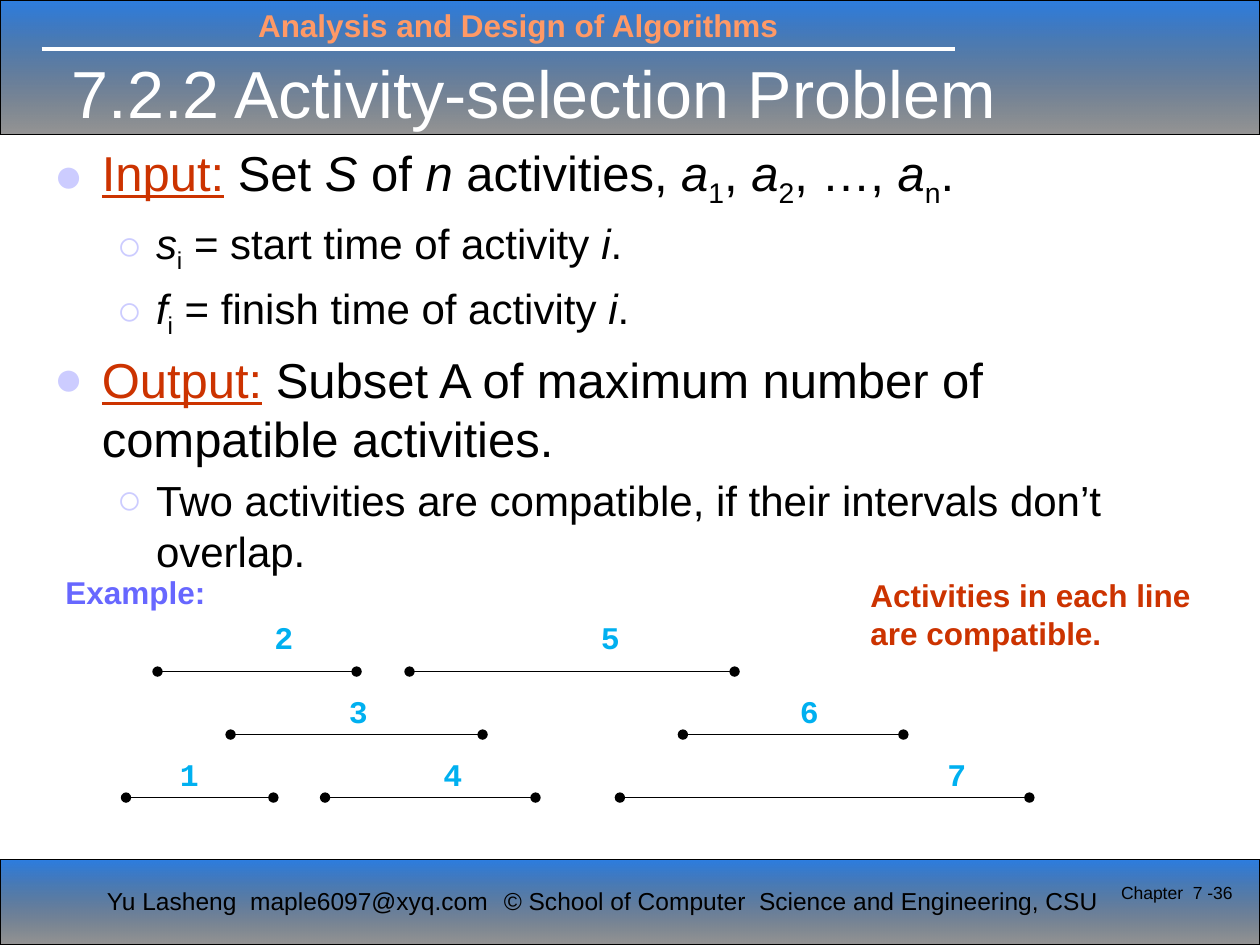
"""Build the activity-selection slide with its interval chart."""
from lxml.etree import SubElement as Sub
from pptx import Presentation
from pptx.dml.color import RGBColor as Rgb
from pptx.enum.shapes import MSO_CONNECTOR as Link, MSO_SHAPE as Form
from pptx.enum.text import MSO_ANCHOR as Anchor, PP_ALIGN as Align
from pptx.oxml.ns import qn
from pptx.util import Inches, Pt

THEME = {
    "sans": "Arial", "mono": "Courier New",
    "black": "000000", "white": "FFFFFF", "blue": "0E6BDC", "peach": "FF9966",
    "red": "CC3300", "lilac": "CCCCFF", "violet": "6767FF", "cyan": "00B0F0",
    "title": 38, "body": (28, 24), "label": 18, "foot": 14, "page": 10,
}
BANDS = [(0, 1.07), (6.82, 0.68)]
FADE = [("blue", 0, 88), ("black", 100, 41)]
BODY = [
    (0, [("Input:", "key"), (" Set ", ""), ("S", "it"), (" of ", ""), ("n ", "it"),
         ("activities, ", ""), ("a", "it"), ("1", "sub"), (", ", ""), ("a", "it"),
         ("2", "sub"), (", …, ", ""), ("a", "it"), ("n", "sub"), (".", "")]),
    (1, [("s", "it"), ("i", "sub"), (" = start time of activity ", ""),
         ("i", "it"), (".", "")]),
    (1, [("f", "it"), ("i", "sub"), (" = finish time of activity ", ""),
         ("i", "it"), (".", "")]),
    (0, [("Output:", "key"),
         (" Subset A of maximum number of compatible activities.", "")]),
    (1, [("Two activities are compatible, if their intervals don’t overlap.", "")]),
]
LEVELS = [("●", 0.38, -0.38, 5.6), ("○", 0.81, -0.31, 4.5)]
TEXTS = [
    ("Analysis and Design of Algorithms", (1.95, 0, 5, 0.4), "label", "peach", True),
    ("Yu Lasheng  maple6097@xyq.com", (0.75, 6.98, 3.4, 0.34), "foot", "black", False),
    ("© School of Computer  Science and Engineering, CSU",
     (3.9, 6.98, 5.12, 0.34), "foot", "black", False),
    ("Example:", (0.42, 4.5, 1.32, 0.4), "label", "violet", True),
    ("Activities in each line\nare compatible.",
     (6.81, 4.52, 2.77, 0.71), "label", "red", True),
]
ROWS = [
    (5.33, 4.86, [("2", 1.25, 2.83, 2.08), ("5", 3.25, 5.83, 4.67)]),
    (5.83, 5.44, [("3", 1.83, 3.83, 2.67), ("6", 5.42, 7.17, 6.25)]),
    (6.33, 5.94, [("1", 1, 2.17, 1.33), ("4", 2.58, 4.25, 3.42),
                  ("7", 4.92, 8.17, 7.42)]),
]


def tint(name):
    return Rgb.from_string(THEME[name])


def style(run, size, color, bold=False, face="sans"):
    font = run.font
    font.name, font.size, font.bold = THEME[face], Pt(size), bold
    font.color.rgb = tint(color)


def frame(slide, box):
    text = slide.shapes.add_textbox(*map(Inches, box)).text_frame
    text.word_wrap = True
    return text


def write(slide, words, box, size, color, bold=False, face="sans"):
    text = frame(slide, box)
    text.text = words
    for para in text.paragraphs:
        for run in para.runs:
            style(run, THEME[size], color, bold, face)
    return text


def band(slide, top, high):
    bar = slide.shapes.add_shape(Form.RECTANGLE, 0, Inches(top), Inches(10), Inches(high))
    bar.shadow.inherit = False
    bar.line.color.rgb, bar.line.width = tint("black"), Pt(0.75)
    bar.fill.gradient()
    bar.fill.gradient_angle = 270
    marks = bar._element.spPr.iter(qn("a:gs"))
    for stop, mark, (color, place, alpha) in zip(bar.fill.gradient_stops, marks, FADE):
        stop.color.rgb = tint(color)
        stop.position = place / 100
        Sub(mark[0], qn("a:alpha"), val=str(alpha * 1000))


def line(slide, left, right, y, color, width, dots=False):
    rule = slide.shapes.add_connector(
        Link.STRAIGHT, Inches(left), Inches(y), Inches(right), Inches(y))
    rule.line.color.rgb, rule.line.width = tint(color), Pt(width)
    if dots:
        for end in ("a:headEnd", "a:tailEnd"):
            Sub(rule._element.spPr.find(qn("a:ln")), qn(end), type="oval")
    Sub(rule._element.spPr, qn("a:effectLst"))


def bullet(para, level):
    sign, left, hang, gap = LEVELS[level]
    para.level = level
    prop = para._p.get_or_add_pPr()
    prop.set("marL", str(Inches(left)))
    prop.set("indent", str(Inches(hang)))
    Sub(Sub(prop, qn("a:buClr")), qn("a:srgbClr"), val=THEME["lilac"])
    Sub(prop, qn("a:buFont"), typeface=THEME["sans"])
    Sub(prop, qn("a:buChar"), char=sign)
    return gap


def body(slide):
    text = frame(slide, (0.33, 1.08, 9.25, 3.33))
    for spot, (level, parts) in enumerate(BODY):
        para = text.add_paragraph() if spot else text.paragraphs[0]
        gap = bullet(para, level)
        para.space_before = Pt(gap if spot else 0)
        for words, kind in parts:
            run = para.add_run()
            run.text = words
            style(run, THEME["body"][level], "red" if kind == "key" else "black")
            run.font.underline = kind == "key"
            run.font.italic = kind == "it"
            if kind == "sub":
                run.font._element.set("baseline", "-25000")


def main():
    deck = Presentation()
    deck.slide_width, deck.slide_height = Inches(10), Inches(7.5)
    slide = deck.slides.add_slide(deck.slide_layouts[6])
    for top, high in BANDS:
        band(slide, top, high)
    line(slide, 0.33, 7.58, 0.39, "white", 2.25)
    title = write(slide, "7.2.2 Activity-selection Problem",
                  (0.47, 0.39, 7.81, 0.68), "title", "white")
    title.vertical_anchor = Anchor.MIDDLE
    body(slide)
    for item in TEXTS:
        write(slide, *item)
    for y, top, spans in ROWS:
        for name, start, end, left in spans:
            line(slide, start, end, y, "black", 1, True)
            write(slide, name, (left, top, 0.35, 0.4), "label", "cyan", True, "mono")
    page = write(slide, "Chapter  7 -36", (8.62, 6.95, 1.26, 0.5), "page", "black")
    page.paragraphs[0].alignment = Align.RIGHT
    deck.save("out.pptx")


if __name__ == "__main__":
    main()
